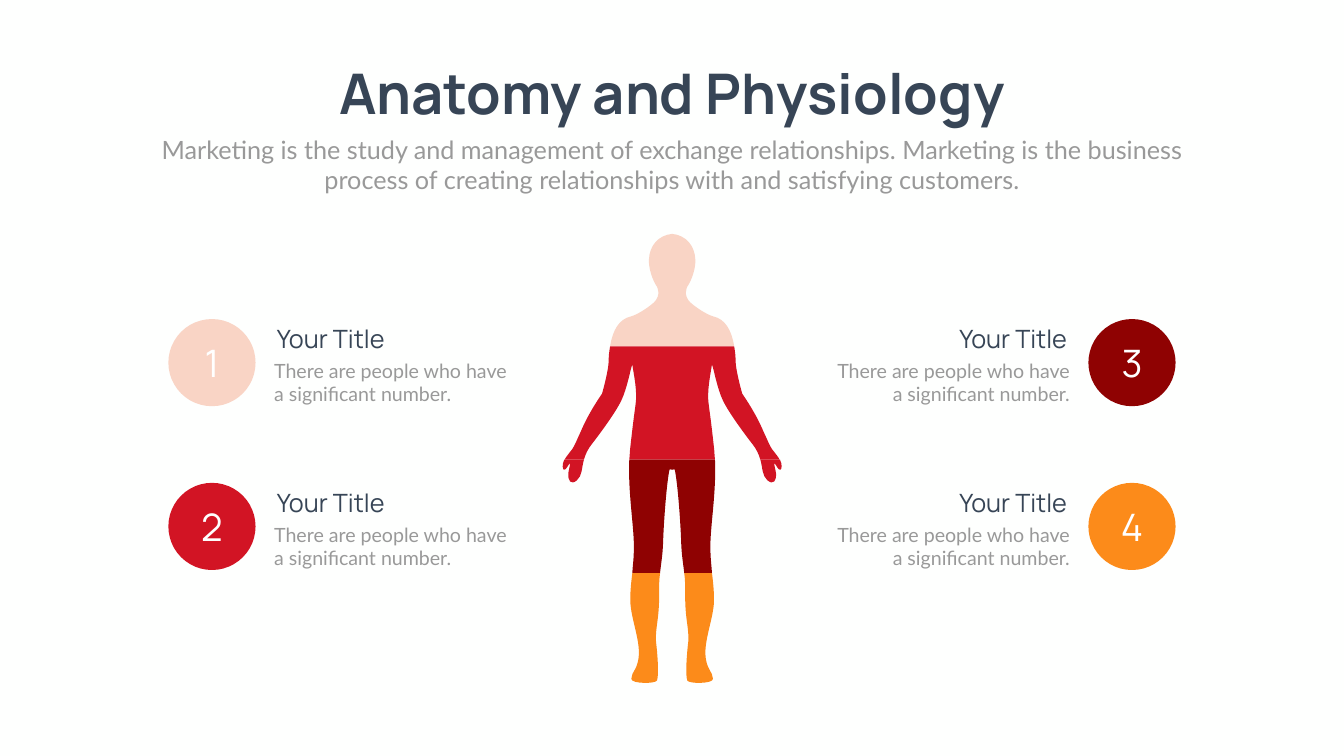
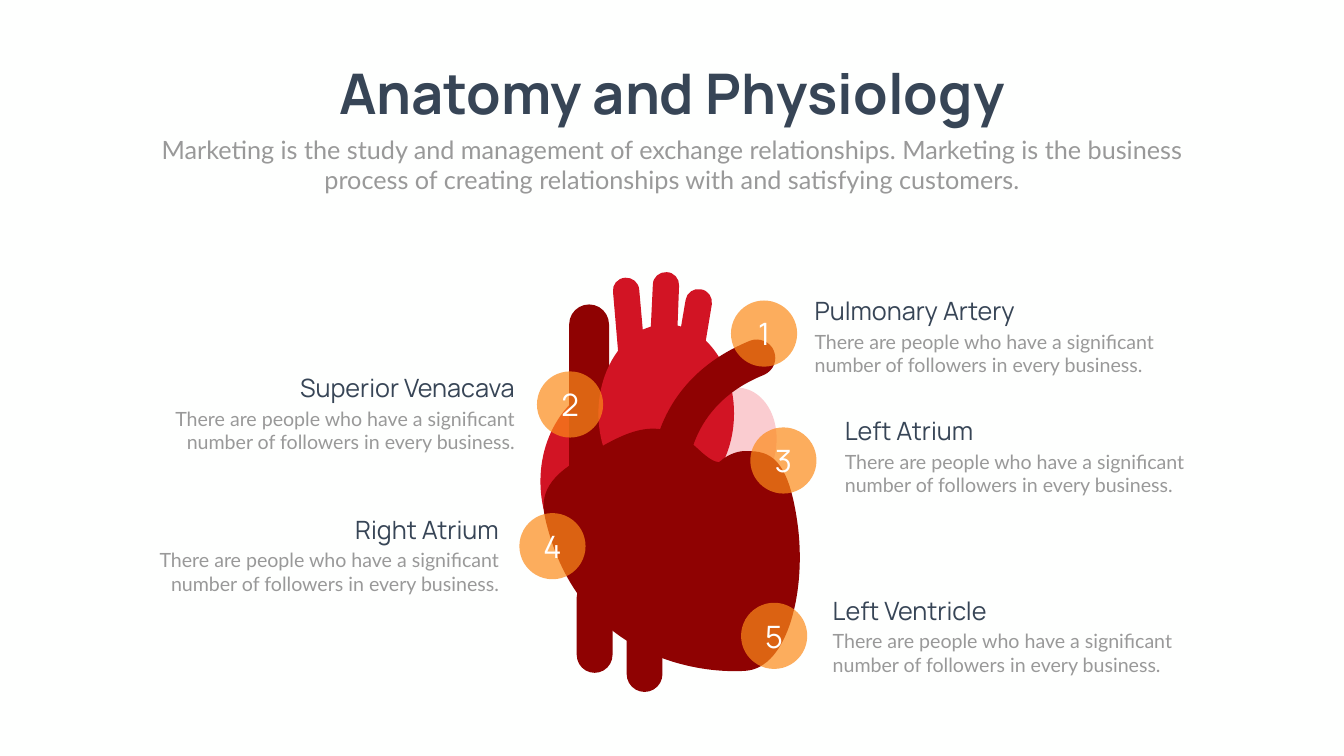
from lxml import etree
from pptx import Presentation
from pptx.dml.color import RGBColor
from pptx.enum.shapes import MSO_SHAPE as Preset
from pptx.enum.text import MSO_ANCHOR as Anchor, MSO_AUTO_SIZE as AutoSize, PP_ALIGN as Align
from pptx.oxml.ns import qn
from pptx.util import Pt

SLIDE_WIDTH, SLIDE_HEIGHT = 1919.52, 1080
TITLE_ONLY = 5
GRID = 0.72

BLUSH, RED, MAROON, ORANGE, PINK = "F9D4C5", "D21424", "8F0202", "FC8B1A", "FACCD0"
NAVY, GRAY, WHITE, PAPER = "374556", "999999", "FFFFFF", "FEFFFE"

TITLE_STYLE = {"name": "Manrope", "size": Pt(80), "bold": True, "color": NAVY}
SUBTITLE_STYLE = {"name": "Lato", "size": Pt(36), "color": GRAY}
HEADING_STYLE = {"name": "Manrope", "size": Pt(36), "color": NAVY}
BODY_STYLE = {"name": "Lato", "size": Pt(28), "color": GRAY}
LARGE_BADGE_STYLE = {"name": "Manrope", "size": Pt(54), "color": WHITE}
SMALL_BADGE_STYLE = LARGE_BADGE_STYLE | {"size": Pt(44)}

TITLE = "Anatomy and Physiology"
SUBTITLE = (
    "Marketing is the study and management of exchange relationships. "
    "Marketing is the business process of creating relationships with "
    "and satisfying customers."
)
PART_TEXT = "There are people who have a significant number."
HEART_TEXT = "There are people who have a significant number of followers in every business."

HEAD = (
    "0,0 / 28,3 45,24 46,51 / 47,68 39,92 30,105 / 30,105 21,122 36,136 / "
    "47,146 68,160 82,164 / 105,169 118,191 123,223"
)
TORSO = (
    "123,223 / 125,234 126,244 126,255 / 127,271 134,299 139,317 / "
    "165,355 176,380 182,394 / 187,404 194,422 198,427 / 202,432 206,437 211,444 / "
    "212,445 213,447 213,448 / 175,448 / 172,437 167,427 160,418 / "
    "146,400 113,356 101,331 / 89,306 83,269 79,259 / 76,280 68,314 73,342 / "
    "76,365 77,370 83,424 / 84,432 84,440 85,448"
)
HAND = (
    "189,489 / 201,499 207,490 206,475 / 205,467 202,460 203,455 / "
    "206,458 211,470 215,468 / 217,466 219,459 214,448 / 175,448 / "
    "180,466 178,479 189,489"
)
THIGHS = (
    "85,448 / 88,517 74,588 76,630 / 76,643 78,657 79,673 / 24,673 / "
    "22,654 19,639 18,614 / 17,577 11,492 5,467 / 3,468 2,468 0,468"
)
CALF = (
    "26,715 / 25,762 34,783 32,809 / 29,834 26,875 30,886 / 32,893 81,893 81,883 / "
    "81,868 67,865 66,833 / 65,800 84,756 83,724 / 83,707 81,689 79,673 / 24,673 / "
    "26,687 26,701 26,715"
)
RIGHT_ATRIUM = (
    "320,333 / 320,311 331,301 337,282 / 306,251 246,208 179,209 / "
    "81,210 2,301 2,415 / 2,530 81,622 179,622 / 256,622 322,564 347,484 / "
    "362,495 375,504 375,504 / 384,494 / 327,470 320,414 320,333"
)
AORTA = (
    "330,136 / 342,64 / 344,50 335,36 320,34 / 306,31 292,41 290,55 / 281,108 / "
    "278,107 276,106 274,106 / 277,27 / 278,13 267,0 252,0 / 238,-1 225,10 225,25 / "
    "221,108 / 215,110 210,112 205,114 / 198,35 / 197,20 184,10 170,11 / "
    "155,12 144,25 146,39 / 156,156 / 132,188 117,232 117,280 / "
    "117,378 177,457 252,457 / 326,457 386,378 386,280 / 386,221 364,168 330,136"
)
PULMONARY_ARTERY = (
    "267,443 / 265,444 262,444 260,445 / 240,446 222,430 222,410 / "
    "221,402 215,219 418,136 / 436,129 458,138 465,156 / 473,175 464,196 445,204 / "
    "291,266 294,401 294,407 / 295,424 283,439 267,443"
)
VENTRICLES = (
    "512,499 / 494,368 457,355 412,355 / 395,354 378,361 365,370 / "
    "362,373 359,375 356,377 / 356,377 355,377 355,377 / 346,376 334,369 316,352 / "
    "233,274 166,322 88,366 / 85,368 82,370 79,371 / 79,372 78,372 77,373 / "
    "-2,418 5,463 13,495 / 80,771 324,797 409,791 / 494,785 530,629 512,499"
)


def rgb(value):
    """Turn a hex string into a colour."""
    return RGBColor.from_string(value)


def paint(shape, color, opacity=100):
    """Give a shape a plain fill without line or shadow."""
    shape.shadow.inherit = False
    shape.line.fill.background()
    shape.fill.solid()
    shape.fill.fore_color.rgb = rgb(color)
    if opacity < 100:
        solid = shape.element.spPr.find(qn("a:solidFill"))
        etree.SubElement(solid[0], qn("a:alpha")).set("val", str(opacity * 1000))


def write_text(shape, text, style, alignment, **frame_format):
    """Fill a shape with one paragraph in the given style."""
    frame = shape.text_frame
    settings = {"word_wrap": True, "auto_size": AutoSize.NONE, "vertical_anchor": Anchor.MIDDLE}
    for name, value in (settings | frame_format).items():
        setattr(frame, name, value)
    paragraph = frame.paragraphs[0]
    paragraph.alignment = alignment
    run = paragraph.add_run()
    run.text = text
    for name, value in style.items():
        if name == "color":
            run.font.color.rgb = rgb(value)
        else:
            setattr(run.font, name, value)


def add_text(slide, box, text, style, alignment):
    """Add a wrapped text box."""
    shape = slide.shapes.add_textbox(*map(Pt, box))
    write_text(shape, text, style, alignment)


def add_preset(slide, preset, box, color, opacity=100):
    """Add a painted preset shape."""
    shape = slide.shapes.add_shape(preset, *map(Pt, box))
    paint(shape, color, opacity)
    return shape


def trace(outline):
    """Split an outline into its points and the point count of each segment."""
    segments = [
        [tuple(map(float, pair.split(","))) for pair in segment.split()]
        for segment in outline.split("/")
    ]
    return sum(segments, []), [len(segment) for segment in segments[1:]]


def mirror(points):
    """Reflect points across the vertical axis."""
    return [(-x, y) for x, y in points]


def add_outline(slide, left, top, points, counts, color):
    """Draw a closed outline of lines and cubic curves, in grid units."""
    placed = [(Pt(left + x * GRID), Pt(top + y * GRID)) for x, y in points]
    builder = slide.shapes.build_freeform(*placed[0])
    builder.add_line_segments(placed[1:], close=True)
    shape = builder.convert_to_shape()
    paint(shape, color)
    lines = iter(list(shape.element.spPr.iter(qn("a:lnTo"))))
    for count in counts:
        first, *others = [next(lines) for _ in range(count)]
        if others:
            first.tag = qn("a:cubicBezTo")
        for line in others:
            first.append(line[0])
            line.getparent().remove(line)


def add_badge(slide, left, top, size, number, color, style, opacity=100):
    """Add a numbered circle."""
    badge = add_preset(slide, Preset.OVAL, (left, top, size, size), color, opacity)
    margins = dict.fromkeys(("margin_left", "margin_right", "margin_top", "margin_bottom"), 0)
    write_text(badge, str(number), style, Align.CENTER, **margins)


def add_caption(slide, edge, top, alignment, heading, body, width, drop, indent=0):
    """Add a heading over a body text, both set against one edge."""
    heading_width = 385.2
    if alignment == Align.RIGHT:
        body_left, heading_left = edge - width, edge - indent - heading_width
    else:
        body_left, heading_left = edge, edge + indent
    add_text(slide, (body_left, top + drop, width, 74.9), body, BODY_STYLE, alignment)
    add_text(slide, (heading_left, top, heading_width, 51.1), heading, HEADING_STYLE, alignment)


def add_titled_slide(presentation):
    """Add a slide with the shared title and subtitle."""
    slide = presentation.slides.add_slide(presentation.slide_layouts[TITLE_ONLY])
    title = slide.shapes.title
    box = {"left": 429.5, "top": 79.9, "width": 1060.6, "height": 104.4}
    for name, value in box.items():
        setattr(title, name, Pt(value))
    write_text(title, TITLE, TITLE_STYLE, Align.CENTER, word_wrap=False)
    add_text(slide, (210.2, 187.9, 1499, 94.3), SUBTITLE, SUBTITLE_STYLE, Align.CENTER)
    return slide


def draw_body(slide, center, top):
    """Draw the standing figure around its centre line."""
    for outline, color in ((HEAD, BLUSH), (TORSO, RED), (THIGHS, MAROON)):
        half, counts = trace(outline)
        points = half + mirror(half[::-1])
        add_outline(slide, center, top, points, counts + [1] + counts[::-1], color)
    for outline, color in ((HAND, RED), (CALF, ORANGE)):
        limb, counts = trace(outline)
        for points in (limb, mirror(limb)):
            add_outline(slide, center, top, points, counts, color)


def draw_vessel(slide, box):
    """Draw a vessel with fully rounded ends."""
    vessel = add_preset(slide, Preset.ROUNDED_RECTANGLE, box, MAROON)
    vessel.adjustments[0] = 0.5


def draw_heart(slide, left, top):
    """Draw the heart from its back parts to its front parts."""
    for x, y in ((124.6, 465.8), (53.3, 438.5)):
        draw_vessel(slide, (left + x, top + y, 51.1, 133.9))
    add_outline(slide, left, top, *trace(RIGHT_ATRIUM), RED)
    left_atrium = add_preset(slide, Preset.OVAL, (left + 212, top + 164.2, 126, 164), PINK)
    left_atrium.rotation = 11
    draw_vessel(slide, (left + 42.5, top + 46.1, 56.9, 308.9))
    for outline, color in ((AORTA, RED), (PULMONARY_ARTERY, MAROON), (VENTRICLES, MAROON)):
        add_outline(slide, left, top, *trace(outline), color)


def build_body_slide(presentation):
    """Build the slide with four numbered body regions."""
    slide = add_titled_slide(presentation)
    draw_body(slide, 960, 334.1)
    columns = ((240.5, 384.5, Align.LEFT), (1554.5, 1535, Align.RIGHT))
    for index, color in enumerate((BLUSH, RED, MAROON, ORANGE)):
        column, row = divmod(index, 2)
        badge_left, edge, alignment = columns[column]
        top = 455.8 + row * 234
        add_badge(slide, badge_left, top, 124.5, index + 1, color, LARGE_BADGE_STYLE)
        add_caption(slide, edge, top + 2.1, alignment, "Your Title", PART_TEXT, 358, 50.8, 4)


def build_heart_slide(presentation):
    """Build the slide with five labelled heart parts."""
    slide = add_titled_slide(presentation)
    draw_heart(slide, 770.4, 388.8)
    parts = (
        ("Pulmonary Artery", 1044, 429.3, 1156.3, 418.3, Align.LEFT),
        ("Superior Venacava", 766.9, 530.6, 742.1, 528.3, Align.RIGHT),
        ("Left Atrium", 1071.6, 610.6, 1199.5, 589.7, Align.LEFT),
        ("Right Atrium", 741.8, 733, 719.6, 730.6, Align.RIGHT),
        ("Left Ventricle", 1058.4, 861.1, 1182.2, 845.8, Align.LEFT),
    )
    for number, (name, badge_left, badge_top, edge, top, alignment) in enumerate(parts, 1):
        add_badge(slide, badge_left, badge_top, 94.5, number, ORANGE, SMALL_BADGE_STYLE, 70)
        add_caption(slide, edge, top, alignment, name, HEART_TEXT, 545.8, 48.9)


def main():
    """Build and save the presentation."""
    presentation = Presentation()
    presentation.slide_width = Pt(SLIDE_WIDTH)
    presentation.slide_height = Pt(SLIDE_HEIGHT)
    background = presentation.slide_master.background.fill
    background.solid()
    background.fore_color.rgb = rgb(PAPER)
    build_body_slide(presentation)
    build_heart_slide(presentation)
    presentation.save("out.pptx")


if __name__ == "__main__":
    main()
